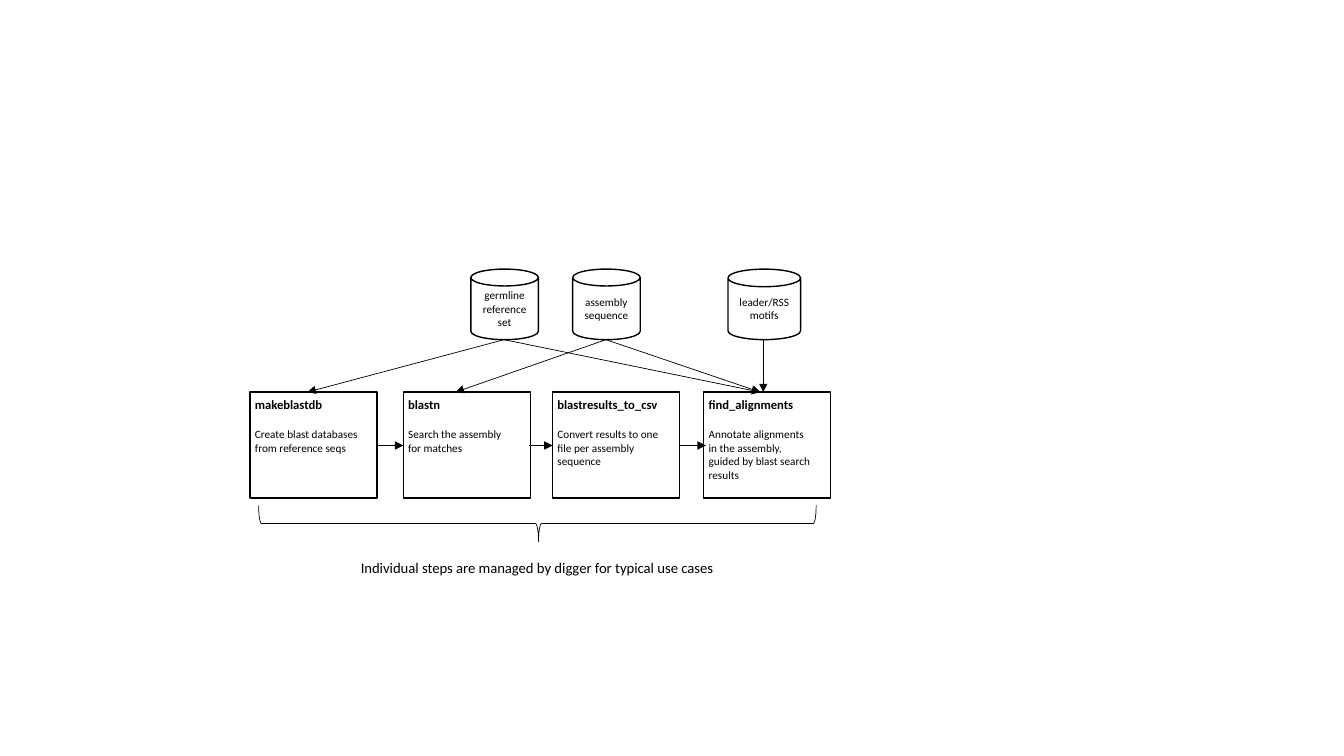
"""Draw the annotation workflow: data sources, four steps and a caption."""
import pptx
import pptx.util
import pptx.dml.color
import pptx.enum.shapes
import pptx.enum.text
import pptx.oxml
import pptx.oxml.ns

Inches = pptx.util.Inches
Pt = pptx.util.Pt
SHAPE = pptx.enum.shapes.MSO_SHAPE
ALIGN = pptx.enum.text.PP_ALIGN
COLORS = {"ink": "000000"}

STEP_TOP, STEP_W, STEP_H = 3.89, 1.26, 1.05
CAN_TOP, CAN_H = 2.67, 0.7
STEPS = [
    (2.48, 1.24, 0.67, "makeblastdb", "Create blast databases\nfrom reference seqs"),
    (4.0, 1.13, 0.67, "blastn", "Search the assembly\nfor matches"),
    (5.48, 1.22, 0.81, "blastresults_to_csv",
     "Convert results to one\nfile per assembly\nsequence"),
    (6.98, 1.22, 0.94, "find_alignments",
     "Annotate alignments\nin the assembly,\nguided by blast search\nresults"),
]
SOURCES = [
    (4.67, 0.67, "germline\nreference\nset"),
    (5.68, 0.67, "assembly\nsequence"),
    (7.22, 0.72, "leader/RSS\nmotifs"),
]
STEP_ARROWS = [(3.74, 4.0), (5.25, 5.48), (6.74, 7.0)]
SOURCE_ARROWS = [(5.0, 3.05), (5.0, 7.54), (6.01, 4.52), (6.01, 7.54), (7.57, 7.57)]


def write(tf, text, size=8, bold=False, align=ALIGN.LEFT, before=0):
    for i, line in enumerate(text.split("\n")):
        p = tf.add_paragraph() if tf.text else tf.paragraphs[0]
        p.alignment = align
        p.space_before = Pt(0 if i else before)
        r = p.add_run()
        r.text = line
        r.font.name = "Calibri"
        r.font.size = Pt(size)
        r.font.bold = bold
        r.font.color.rgb = pptx.dml.color.RGBColor.from_string(COLORS["ink"])


class Diagram:
    def __init__(self, slide):
        self.shapes = slide.shapes

    def stroke(self, sp, width):
        sp.line.color.rgb = pptx.dml.color.RGBColor.from_string(COLORS["ink"])
        sp.line.width = Pt(width)

    def shape(self, kind, x, y, w, h, width=1):
        sp = self.shapes.add_shape(kind, Inches(x), Inches(y), Inches(w), Inches(h))
        sp.shadow.inherit = False
        sp.fill.background()
        self.stroke(sp, width)
        return sp

    def text_box(self, x, y, w, h):
        tf = self.shapes.add_textbox(Inches(x), Inches(y), Inches(w), Inches(h)).text_frame
        tf.word_wrap = False
        tf.auto_size = pptx.enum.text.MSO_AUTO_SIZE.SHAPE_TO_FIT_TEXT
        return tf

    def step(self, x, text_w, text_h, name, detail):
        self.shape(SHAPE.RECTANGLE, x, STEP_TOP, STEP_W, STEP_H)
        tf = self.text_box(x - 0.05, STEP_TOP, text_w, text_h)
        write(tf, name, size=9, bold=True)
        write(tf, detail, before=11)

    def source(self, x, w, label):
        tf = self.shape(SHAPE.CAN, x, CAN_TOP, w, CAN_H).text_frame
        tf.vertical_anchor = pptx.enum.text.MSO_ANCHOR.MIDDLE
        write(tf, label, align=ALIGN.CENTER)

    def arrow(self, x1, y1, x2, y2):
        sp = self.shapes.add_connector(
            pptx.enum.shapes.MSO_CONNECTOR.STRAIGHT,
            Inches(x1), Inches(y1), Inches(x2), Inches(y2))
        self.stroke(sp, 0.5)
        ns = pptx.oxml.ns.nsdecls("a")
        sp.line._get_or_add_ln().append(
            pptx.oxml.parse_xml(f'<a:tailEnd {ns} type="triangle"/>'))
        sp._element.spPr.append(pptx.oxml.parse_xml(f"<a:effectLst {ns}/>"))

    def brace(self, x, y, w, h):
        sp = self.shape(SHAPE.RIGHT_BRACE, x, y, w, h, width=0.5)
        sp.rotation = 90
        sp.adjustments[0] = 0.083
        sp.adjustments[1] = 0.498


def main():
    prs = pptx.Presentation()
    prs.slide_width, prs.slide_height = Inches(13.33), Inches(7.5)
    d = Diagram(prs.slides.add_slide(prs.slide_layouts[6]))
    for step in STEPS:
        d.step(*step)
    for source in SOURCES:
        d.source(*source)
    for x1, x2 in STEP_ARROWS:
        d.arrow(x1, 4.42, x2, 4.42)
    for x1, x2 in SOURCE_ARROWS:
        d.arrow(x1, CAN_TOP + CAN_H, x2, STEP_TOP)
    d.brace(5.15, 2.43, 0.36, 5.53)
    caption = d.text_box(3.48, 5.49, 3.77, 0.28)
    write(caption, "Individual steps are managed by digger for typical use cases", size=10.5)
    prs.save("out.pptx")


if __name__ == "__main__":
    main()
